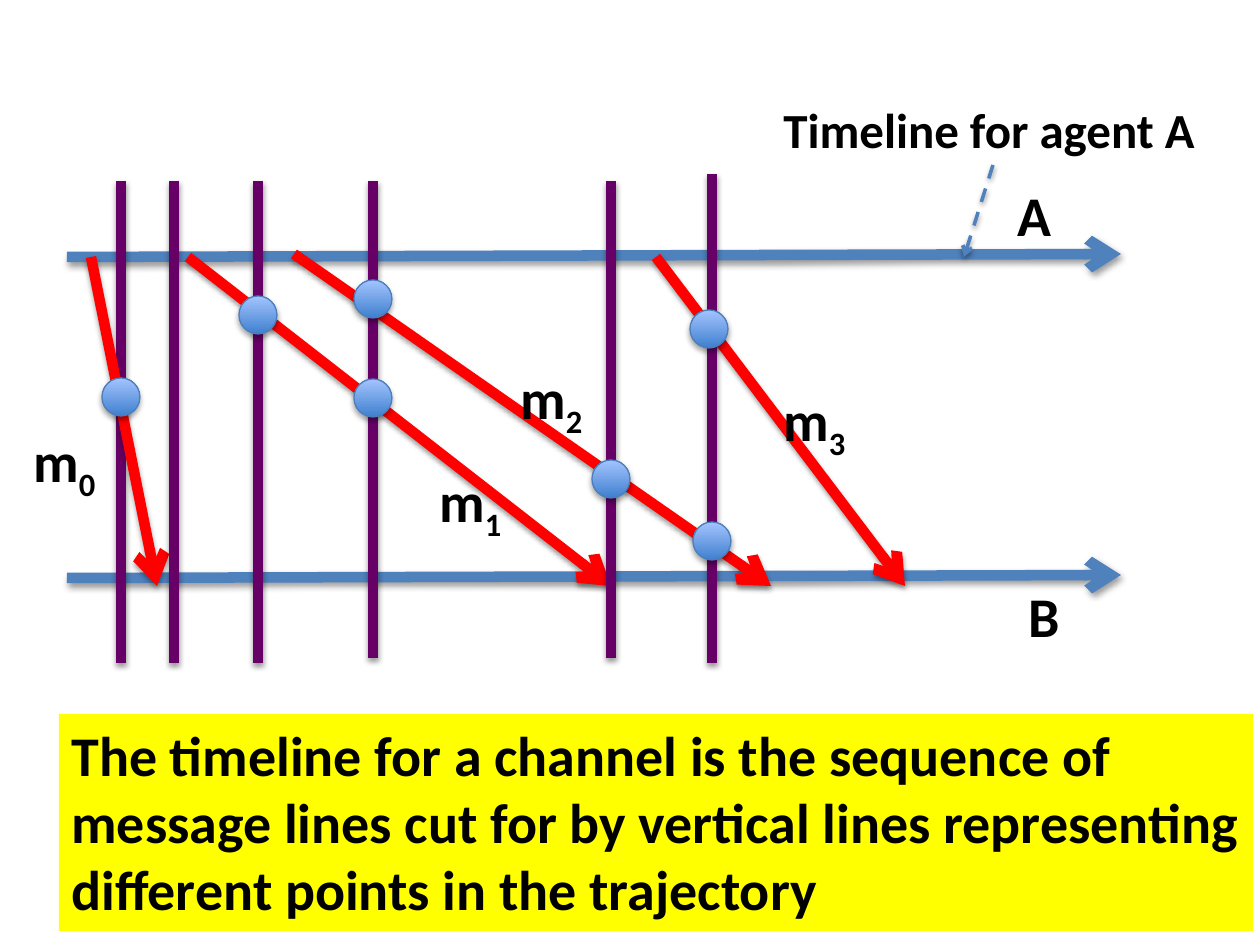
"""Build the slide on the timeline of a channel between agents A and B."""
from lxml import etree
from pptx import Presentation
from pptx.dml.color import RGBColor
from pptx.enum.dml import MSO_LINE
from pptx.enum.shapes import MSO_CONNECTOR, MSO_SHAPE
from pptx.enum.text import MSO_ANCHOR, MSO_AUTO_SIZE, PP_ALIGN
from pptx.oxml.ns import qn
from pptx.util import Emu, Pt

STRAIGHT = MSO_CONNECTOR.STRAIGHT
RECTANGLE, OVAL = MSO_SHAPE.RECTANGLE, MSO_SHAPE.OVAL
DASH = MSO_LINE.DASH
TOP, LEFT, GROW = MSO_ANCHOR.TOP, PP_ALIGN.LEFT, MSO_AUTO_SIZE.SHAPE_TO_FIT_TEXT
EMU_PER_PX = 914400 / 126
BLUE, RED, PURPLE = "4F81BD", "FF0000", "660066"
BLACK, YELLOW, RIM = "000000", "FFFF00", "4B7EBC"
DOT_GRADIENT = ("3F80CE", "A4C4FF")
DOT_SIZE = 38


def px(length):
    return Emu(round(length * EMU_PER_PX))


def color(hex_code):
    return RGBColor.from_string(hex_code)


def assign(target, values):
    for name, value in values.items():
        setattr(target, name, value)


class Diagram:
    """Hold the style and the current slide, and draw each kind of element."""

    font = {"name": "Calibri", "bold": True}

    def __init__(self, slide):
        self.slide = slide

    def shadow(self, effects, distance, opacity):
        outer = etree.SubElement(effects, qn("a:outerShdw"))
        values = {"blurRad": Pt(3.1), "dist": Pt(distance),
                  "dir": 5400000, "rotWithShape": 0}
        for name, value in values.items():
            outer.set(name, str(int(value)))
        shade = etree.SubElement(outer, qn("a:srgbClr"), val=BLACK)
        etree.SubElement(shade, qn("a:alpha"), val=str(opacity * 1000))

    def line(self, start, end, hue, width=6, arrow=False, dash=None):
        connector = self.slide.shapes.add_connector(
            STRAIGHT, *map(px, start + end))
        connector.line.color.rgb = color(hue)
        assign(connector.line, {"width": Pt(width), "dash_style": dash})
        properties = connector._element.spPr
        if arrow:
            etree.SubElement(properties.find(qn("a:ln")),
                             qn("a:tailEnd"), type="arrow")
        self.shadow(etree.SubElement(properties, qn("a:effectLst")), 1.6, 38)

    def fill_text(self, shape, text, size, wrap, subscript=""):
        frame = shape.text_frame
        assign(frame, {"word_wrap": wrap, "vertical_anchor": TOP,
                       "auto_size": GROW})
        paragraph = frame.paragraphs[0]
        paragraph.alignment = LEFT
        for part in filter(None, (text, subscript)):
            run = paragraph.add_run()
            run.text = part
            assign(run.font, {**self.font, "size": Pt(size)})
            run.font.color.rgb = color(BLACK)
        if subscript:
            run._r.get_or_add_rPr().set("baseline", "-25000")

    def label(self, box, text, size=32, subscript=""):
        textbox = self.slide.shapes.add_textbox(*map(px, box))
        self.fill_text(textbox, text, size, False, subscript)

    def banner(self, box, text):
        panel = self.slide.shapes.add_shape(RECTANGLE, *map(px, box))
        panel.shadow.inherit = False
        panel.fill.solid()
        panel.fill.fore_color.rgb = color(YELLOW)
        panel.line.fill.background()
        self.fill_text(panel, text, 32, True)

    def dot(self, x, y):
        corner = (x - DOT_SIZE // 2, y - DOT_SIZE // 2)
        dot = self.slide.shapes.add_shape(
            OVAL, *map(px, corner + (DOT_SIZE, DOT_SIZE)))
        dot.fill.gradient()
        dot.fill.gradient_angle = 90
        for stop, hue in zip(dot.fill.gradient_stops, DOT_GRADIENT):
            stop.color.rgb = color(hue)
        dot.line.color.rgb = color(RIM)
        dot.line.width = Pt(0.75)
        dot.shadow.inherit = False
        effects = dot._element.spPr.find(qn("a:effectLst"))
        self.shadow(effects, 1.8, 35)


def main():
    deck = Presentation()
    assign(deck, {"slide_width": px(1260), "slide_height": px(945)})
    diagram = Diagram(deck.slides.add_slide(deck.slide_layouts[6]))

    for agent_y in (257, 578):
        diagram.line((67, agent_y), (1121, agent_y - 3), BLUE, arrow=True)

    diagram.line((121, 181), (121, 663), PURPLE)
    messages = [((188, 257), 611), ((294, 254), 771),
                ((656, 257), 905), ((91, 257), 157)]
    for sent, received_x in messages:
        diagram.line(sent, (received_x, 586), RED, arrow=True)

    diagram.label((1005, 174, 59, 81), "A")
    diagram.label((1016, 575, 57, 81), "B")
    message_labels = [(21, 420), (427, 460), (508, 357), (771, 379)]
    for number, corner in enumerate(message_labels):
        diagram.label(corner + (91, 81), "m", subscript=str(number))
    diagram.label((771, 93, 444, 72), "Timeline for agent A", 28)
    diagram.line((993, 165), (964, 257), BLUE, 2, arrow=True, dash=DASH)

    cuts = [(258, 181, 663), (373, 181, 658), (611, 181, 658),
            (712, 174, 663), (174, 181, 663)]
    for x, top, bottom in cuts:
        diagram.line((x, top), (x, bottom), PURPLE)

    diagram.banner((59, 714, 1194, 217),
                   "The timeline for a channel is the sequence of message "
                   "lines cut for by vertical lines representing different "
                   "points in the trajectory")
    crossings = [(121, 397), (258, 315), (373, 299), (373, 398),
                 (611, 479), (712, 541), (709, 329)]
    for x, y in crossings:
        diagram.dot(x, y)

    deck.save("out.pptx")


if __name__ == "__main__":
    main()
